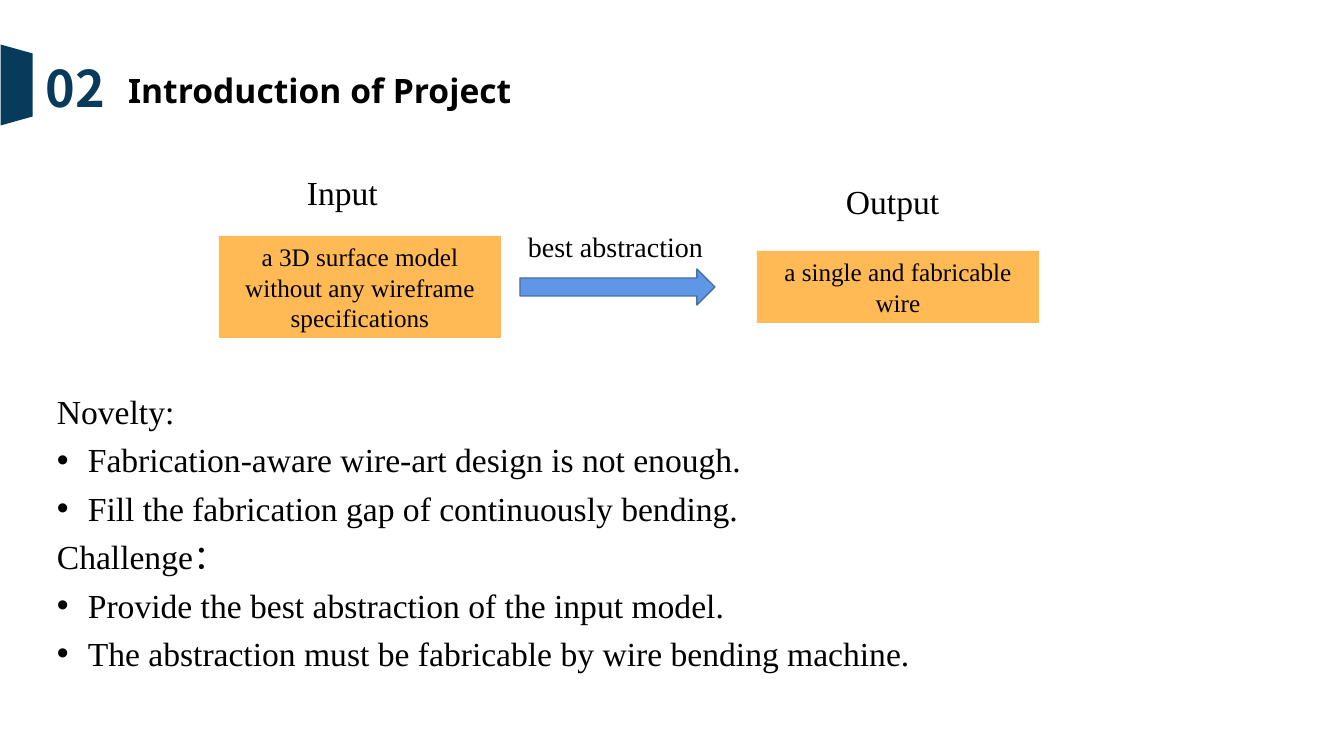
import pptx
import pptx.dml.color
import pptx.enum.shapes
import pptx.enum.text
import pptx.oxml.ns
import pptx.util
from dataclasses import dataclass
from lxml import etree

SHAPE = pptx.enum.shapes.MSO_SHAPE
ALIGN = pptx.enum.text.PP_ALIGN
ANCHOR = pptx.enum.text.MSO_ANCHOR


@dataclass(frozen=True)
class Theme:
    navy: str = "063B5B"
    black: str = "000000"
    orange: str = "FFBA55"
    blue: str = "6096E6"
    blue_edge: str = "476FAA"
    serif: str = "Times New Roman"
    sans: str = "Noto Sans"
    cjk: str = "Noto Sans CJK SC"
    number: int = 36
    heading: int = 24
    label: int = 20
    small: int = 18


THEME = Theme()
PX_PER_INCH = 100.8
INDENT = 31


def px(n):
    return pptx.util.Emu(round(n * 914400 / PX_PER_INCH))


def rgb(color):
    return pptx.dml.color.RGBColor.from_string(color)


def add_bullet(p):
    pPr = p._p.get_or_add_pPr()
    pPr.set("marL", str(px(INDENT)))
    pPr.set("indent", str(-px(INDENT)))
    for tag, name, value in (("a:buFont", "typeface", "Arial"), ("a:buChar", "char", "•")):
        etree.SubElement(pPr, pptx.oxml.ns.qn(tag)).set(name, value)


def write(p, text, *, size=THEME.heading, font=THEME.serif, color=THEME.black,
          bold=False, align=ALIGN.LEFT, spacing=None, bullet=False):
    """Put one formatted run of text in a paragraph."""
    if bullet:
        add_bullet(p)
    p.alignment = align
    if spacing:
        p.line_spacing = spacing
    r = p.add_run()
    r.text = text
    r.font.size = pptx.util.Pt(size)
    r.font.name = font
    r.font.bold = bold
    r.font.color.rgb = rgb(color)


def prepare_frame(sp, anchor=ANCHOR.TOP):
    tf = sp.text_frame
    tf.word_wrap = True
    tf.auto_size = pptx.enum.text.MSO_AUTO_SIZE.NONE
    tf.vertical_anchor = anchor
    return tf


def add_text(slide, box, text, **style):
    sp = slide.shapes.add_textbox(*map(px, box))
    write(prepare_frame(sp).paragraphs[0], text, **style)


def add_title(slide, box, text, **style):
    sp = slide.shapes.title
    sp.left, sp.top, sp.width, sp.height = map(px, box)
    write(prepare_frame(sp).paragraphs[0], text, **style)


def add_shape(slide, kind, box, fill, line=None):
    sp = slide.shapes.add_shape(kind, *map(px, box))
    sp.shadow.inherit = False
    sp.fill.solid()
    sp.fill.fore_color.rgb = rgb(fill)
    if line:
        sp.line.color.rgb = rgb(line)
        sp.line.width = pptx.util.Pt(1)
    else:
        sp.line.fill.background()
    return sp


def add_stage(slide, name, name_box, text, box):
    """A named orange box: one end of the process."""
    sp = add_shape(slide, SHAPE.RECTANGLE, box, THEME.orange)
    tf = prepare_frame(sp, ANCHOR.MIDDLE)
    write(tf.paragraphs[0], text, size=THEME.small, align=ALIGN.CENTER)
    add_text(slide, name_box, name)


def add_sections(slide, box, sections):
    """Headings, each followed by its bulleted points."""
    tf = prepare_frame(slide.shapes.add_textbox(*map(px, box)))
    lines = [(text, i > 0) for section in sections for i, text in enumerate(section)]
    for i, (text, bullet) in enumerate(lines):
        p = tf.add_paragraph() if i else tf.paragraphs[0]
        write(p, text, align=ALIGN.JUSTIFY, spacing=1.2, bullet=bullet)


def main():
    prs = pptx.Presentation()
    prs.slide_width, prs.slide_height = px(1344), px(756)
    slide = prs.slides.add_slide(prs.slide_layouts[5])

    # Heading with section number and side tab
    add_title(slide, (118, 65, 1097, 50), "Introduction of Project",
              font=THEME.sans, bold=True)
    tab = add_shape(slide, SHAPE.TRAPEZOID, (-24, 69, 81, 32), THEME.navy)
    tab.adjustments[0] = 0.28
    tab.rotation = 90
    add_text(slide, (36, 52, 83, 72), "02", size=THEME.number, font=THEME.cjk,
             color=THEME.navy, bold=True)

    # Novelty and challenge
    add_sections(slide, (47, 378, 1168, 299), (
        ("Novelty:",
         "Fabrication-aware wire-art design is not enough.",
         "Fill the fabrication gap of continuously bending."),
        ("Challenge：",
         "Provide the best abstraction of the input model.",
         "The abstraction must be fabricable by wire bending machine."),
    ))

    # Process from input to output
    add_stage(slide, "Input", (297, 167, 125, 50),
              "a 3D surface model without any wireframe specifications",
              (219, 236, 282, 102))
    add_stage(slide, "Output", (836, 176, 125, 50),
              "a single and fabricable wire", (757, 251, 282, 72))
    add_shape(slide, SHAPE.RIGHT_ARROW, (520, 269, 195, 36), THEME.blue, THEME.blue_edge)
    add_text(slide, (518, 225, 202, 44), "best abstraction", size=THEME.label)

    prs.save("out.pptx")


if __name__ == "__main__":
    main()
